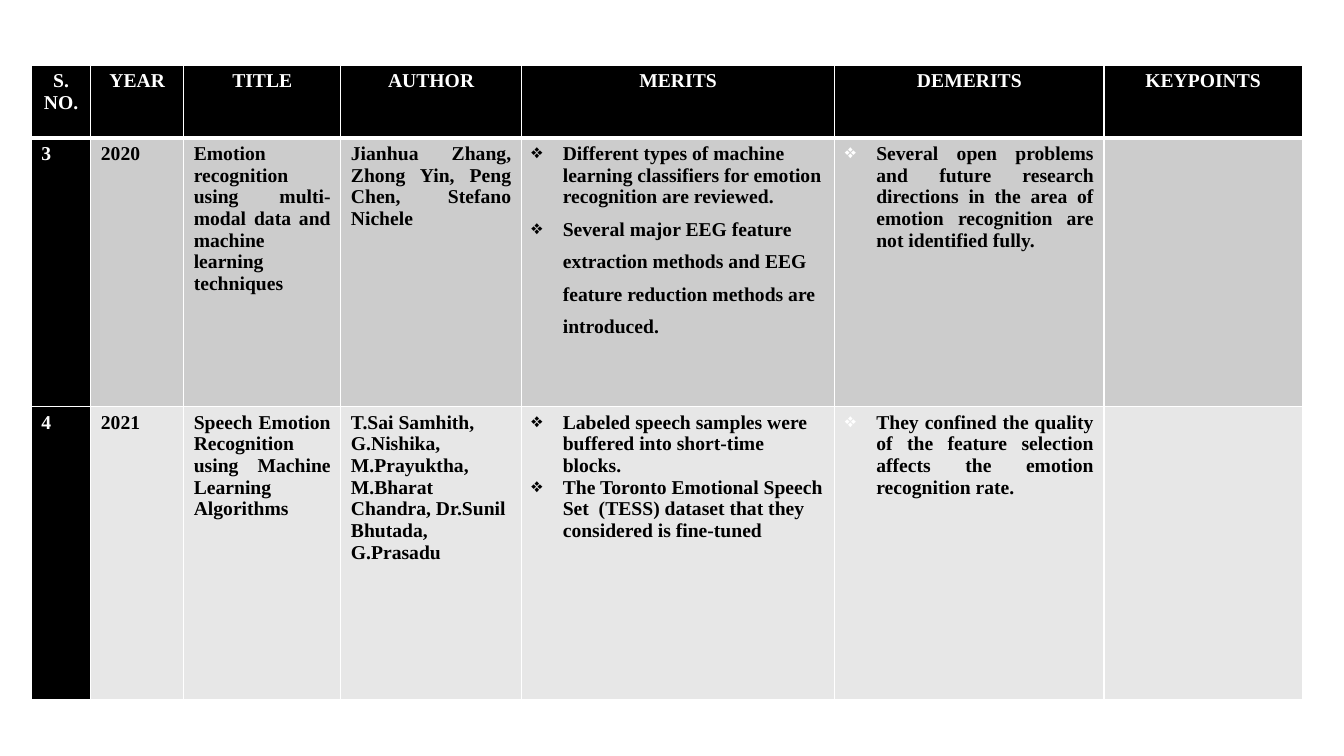
import pptx
import pptx.dml.color
import pptx.enum.text
import pptx.oxml
import pptx.oxml.ns
import pptx.util
from pptx.util import Cm

ALIGN = pptx.enum.text.PP_ALIGN
COLORS = {"white": "FFFFFF", "black": "000000", "band1": "CCCCCC", "band2": "E7E7E7"}
COL_WIDTHS = [1.5, 2.34, 3.96, 4.55, 7.9, 6.78, 5]
ROW_HEIGHTS = [1.83, 6.77, 7.39]
HEADERS = ["S.\nNO.", "YEAR", "TITLE", "AUTHOR", "MERITS", "DEMERITS", "KEYPOINTS"]
JUSTIFY = {"align": ALIGN.JUSTIFY}
MERIT = {"bullet": "black"}
DEMERIT = {"bullet": "white", "align": ALIGN.JUSTIFY}

# Each cell is a list of (text, format) paragraphs.
STUDIES = [
    [
        [("3", {"color": "white"})],
        [("2020", JUSTIFY)],
        [("Emotion recognition using multi-modal data and machine learning techniques", JUSTIFY)],
        [("Jianhua Zhang, Zhong Yin, Peng Chen, Stefano Nichele", JUSTIFY)],
        [("Different types of machine learning classifiers for emotion recognition are reviewed.",
          MERIT),
         ("Several major EEG feature extraction methods and EEG feature reduction methods "
          "are introduced.", {**MERIT, "spacing": 1.5})],
        [("Several open problems and future research directions in the area of emotion "
          "recognition are not identified fully.", DEMERIT)],
        [],
    ],
    [
        [("4", {"color": "white"})],
        [("2021", JUSTIFY)],
        [("Speech Emotion Recognition using Machine Learning Algorithms", JUSTIFY)],
        [("T.Sai Samhith, G.Nishika, M.Prayuktha, M.Bharat Chandra, Dr.Sunil Bhutada, "
          "G.Prasadu", {})],
        [("Labeled speech samples were buffered into short-time blocks.", MERIT),
         ("The Toronto Emotional Speech Set  (TESS) dataset that they considered is fine-tuned",
          MERIT)],
        [("They confined the quality of the feature selection affects the emotion "
          "recognition rate.", DEMERIT)],
        [],
    ],
]


def rgb(name):
    return pptx.dml.color.RGBColor.from_string(COLORS[name])


def add_xml(parent, xml):
    """Append an element of the drawing namespace to parent."""
    ns = pptx.oxml.ns.nsdecls("a")
    tag_end = min(i for i in (xml.find(" "), xml.find(">")) if i > 0)
    parent.append(pptx.oxml.parse_xml(f"{xml[:tag_end]} {ns}{xml[tag_end:]}"))


def write(p, text, align=ALIGN.LEFT, color="black", bullet=None, spacing=None):
    p.alignment = align
    if spacing:
        p.line_spacing = spacing
    if bullet:
        pPr = p._p.get_or_add_pPr()
        pPr.set("marL", str(Cm(0.79)))
        pPr.set("indent", str(-Cm(0.79)))
        add_xml(pPr, f'<a:buClr><a:srgbClr val="{COLORS[bullet]}"/></a:buClr>')
        add_xml(pPr, '<a:buChar char="❖"/>')
    r = p.add_run()
    r.text = text
    r.font.name = "Times New Roman"
    r.font.size = pptx.util.Pt(14)
    r.font.bold = True
    r.font.color.rgb = rgb(color)


def style_cell(cell, fill, top=1, bottom=1):
    """Set the white borders, widths in points, and the fill."""
    tcPr = cell._tc.get_or_add_tcPr()
    for side, width in (("L", 1), ("R", 1), ("T", top), ("B", bottom)):
        add_xml(tcPr, f'<a:ln{side} w="{pptx.util.Pt(width)}"><a:solidFill>'
                      f'<a:srgbClr val="{COLORS["white"]}"/></a:solidFill></a:ln{side}>')
    cell.fill.solid()
    cell.fill.fore_color.rgb = rgb(fill)


def fill_cell(cell, paragraphs):
    tf = cell.text_frame
    for i, (text, style) in enumerate(paragraphs):
        write(tf.add_paragraph() if i else tf.paragraphs[0], text, **style)


def add_survey_table(s):
    table = s.shapes.add_table(len(ROW_HEIGHTS), len(COL_WIDTHS), Cm(0.79), Cm(1.65),
                               Cm(sum(COL_WIDTHS)), Cm(sum(ROW_HEIGHTS))).table
    table.horz_banding = False
    for column, width in zip(table.columns, COL_WIDTHS):
        column.width = Cm(width)
    for row, height in zip(table.rows, ROW_HEIGHTS):
        row.height = Cm(height)

    for col, header in enumerate(HEADERS):
        cell = table.cell(0, col)
        style_cell(cell, "black", bottom=3)
        fill_cell(cell, [(line, {"align": ALIGN.CENTER, "color": "white"})
                         for line in header.split("\n")])

    for row, study in enumerate(STUDIES, start=1):
        for col, paragraphs in enumerate(study):
            cell = table.cell(row, col)
            style_cell(cell, f"band{row}" if col else "black", top=3 if row == 1 else 1)
            fill_cell(cell, paragraphs)


def main():
    prs = pptx.Presentation()
    prs.slide_width, prs.slide_height = Cm(33.87), Cm(19.05)
    s = prs.slides.add_slide(prs.slide_layouts[6])
    add_survey_table(s)
    prs.save("out.pptx")


if __name__ == "__main__":
    main()
